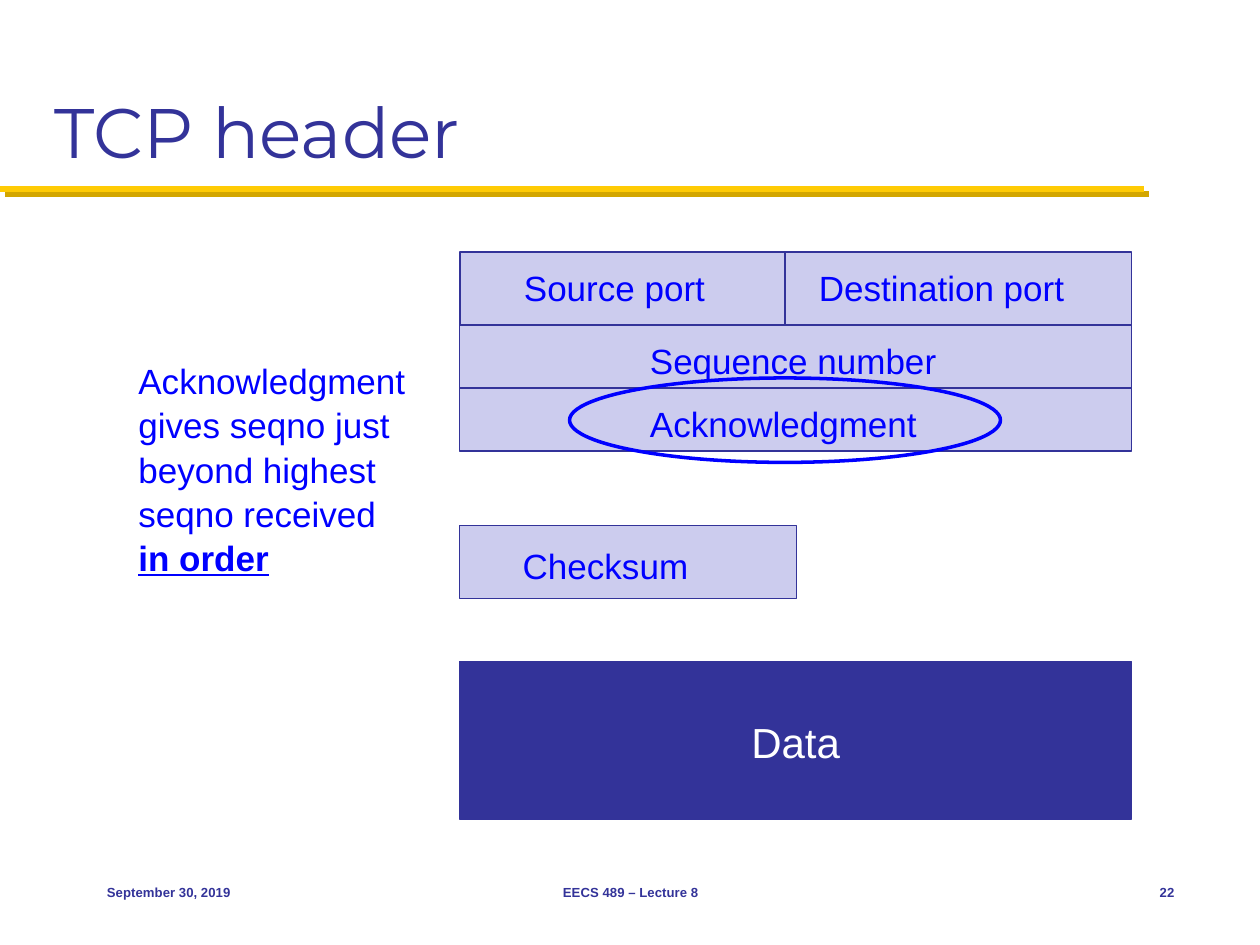
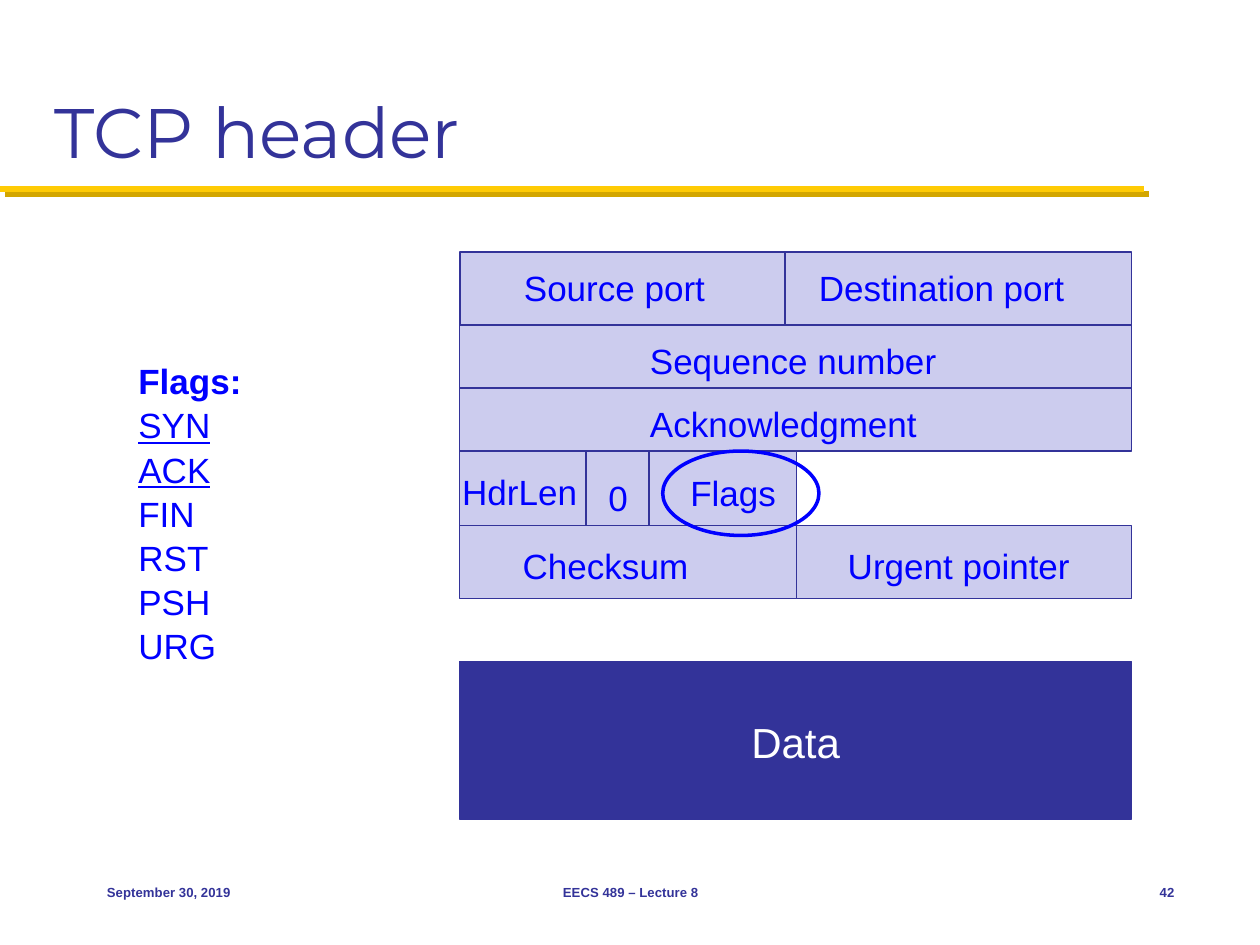
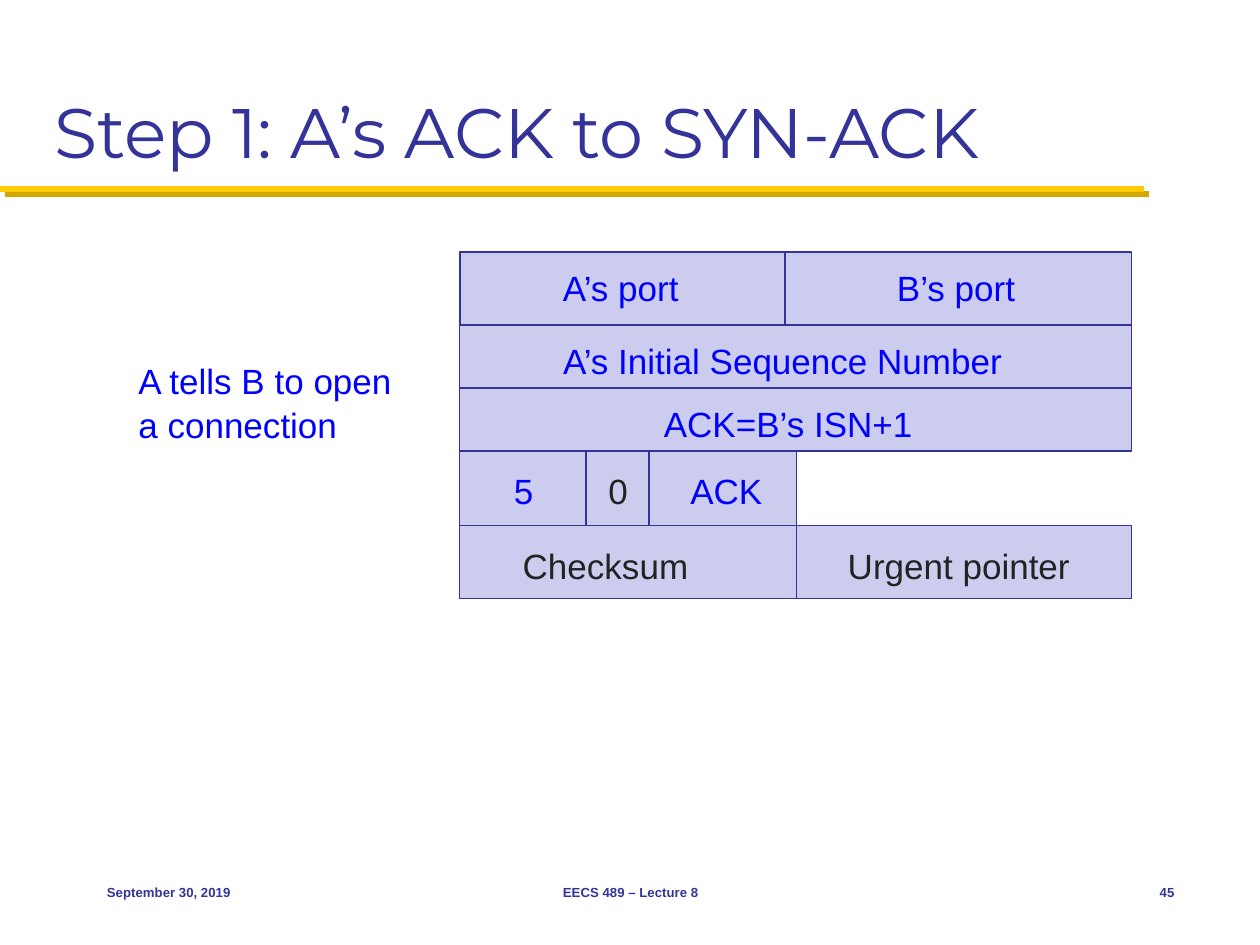
"""Builds three slides on the TCP header and its fields."""
from lxml import etree
from pptx import Presentation
from pptx.dml.color import RGBColor
from pptx.enum.shapes import MSO_CONNECTOR as Link, MSO_SHAPE as Kind
from pptx.enum.text import MSO_ANCHOR as Anchor, MSO_AUTO_SIZE as Fit, PP_ALIGN as Align
from pptx.oxml.ns import qn
from pptx.util import Inches, Pt

NAVY, PALE, BLUE, DARK = "333399", "CCCCEE", "0000FF", "232323"
GOLD, SHADE, WHITE = "FFCB05", "D3A600", "FFFFFF"
LEFT, RIGHT = 3.65, 8.98
ROWS = {"ports": (2, 0.58), "seq": (2.58, 0.5), "ack": (3.08, 0.5),
        "flags": (3.58, 0.59), "sum": (4.17, 0.58), "data": (5.25, 1.25)}
CELLS = {"ports": (LEFT, 6.23, RIGHT), "seq": (LEFT, RIGHT), "ack": (LEFT, RIGHT),
         "flags": (LEFT, 6.32), "sum": (LEFT, 6.32, RIGHT)}
SPLITS = (4.65, 5.15)
FOOT = ((0.75, 2.08, Align.LEFT, "September 30, 2019"),
        (3.42, 3.17, Align.CENTER, "EECS 489 – Lecture 8"),
        (8.75, 0.67, Align.RIGHT, None))

# Labels are (text, left, top, width, colour).
PORTS = [("Source port", 4.06, 2.05, 1.64, BLUE),
         ("Destination port", 6.4, 2.05, 2.15, BLUE),
         ("Sequence number", 5.06, 2.63, 2.47, BLUE),
         ("Acknowledgment", 5.06, 3.13, 2.34, BLUE)]


def tail(color):
    """Return the labels of the checksum row in one colour."""
    return [("Checksum", 4.05, 4.26, 1.51, color),
            ("Urgent pointer", 6.63, 4.26, 1.96, color)]


SLIDES = [
    {"title": "TCP header", "page": "22", "data": "Data",
     "rows": {"ports": 2, "seq": 1, "ack": 1, "sum": 1},
     "labels": PORTS + tail(BLUE)[:1],
     "ring": (4.52, 3, 3.42, 0.67),
     "note": [[("Acknowledgment gives seqno just beyond highest seqno received ", ""),
               ("in order", "bu")]], "tall": 1.78},
    {"title": "TCP header", "page": "42", "data": "Data",
     "rows": {"ports": 2, "seq": 1, "ack": 1, "flags": 1, "sum": 2},
     "labels": PORTS + [("Flags", 5.38, 3.68, 0.89, BLUE),
                        ("0", 4.73, 3.72, 0.36, BLUE)] + tail(BLUE),
     "length": ("HdrLen", 3.67, Align.LEFT),
     "ring": (5.26, 3.58, 1.24, 0.67),
     "note": [[("Flags:", "b")], [("SYN", "u")], [("ACK", "u")], [("FIN", "")],
              [("RST", "")], [("PSH", "")], [("URG", "")]], "tall": 2.79},
    {"title": "Step 1: A’s ACK to SYN-ACK", "page": "45",
     "rows": {"ports": 2, "seq": 1, "ack": 1, "flags": 1, "sum": 2},
     "labels": [("A’s port", 4.37, 2.05, 1.13, BLUE),
                ("B’s port", 7.02, 2.05, 1.15, BLUE),
                ("A’s Initial Sequence Number", 4.37, 2.63, 3.72, BLUE),
                ("ACK=B’s ISN+1", 5.17, 3.13, 2.17, BLUE),
                ("ACK", 5.38, 3.66, 0.78, BLUE),
                ("0", 4.73, 3.66, 0.36, DARK)] + tail(DARK),
     "length": ("5", 3.66, Align.CENTER),
     "note": [[("A tells B to open a connection", "")]], "tall": 0.77},
]


def rgb(color):
    """Turn a hex string into a colour."""
    return RGBColor.from_string(color)


def paint(item, color):
    """Fill a shape with one colour."""
    item.fill.solid()
    item.fill.fore_color.rgb = rgb(color)


def write(item, paras, color=BLUE, size=20, font="Arial", align=Align.LEFT,
          anchor=Anchor.TOP, wrap=True, pitch=1.05):
    """Write paragraphs of (text, marks) runs into a shape."""
    frame = item.text_frame
    frame.word_wrap, frame.auto_size = wrap, Fit.NONE
    frame.vertical_anchor = anchor
    for i, runs in enumerate(paras):
        para = frame.add_paragraph() if i else frame.paragraphs[0]
        para.alignment, para.line_spacing = align, pitch
        for text, marks in runs:
            run = para.add_run()
            run.text = text
            run.font.name, run.font.size = font, Pt(size)
            run.font.color.rgb = rgb(color)
            run.font.bold, run.font.underline = "b" in marks, "u" in marks


def box(slide, place, paras, fill=None, **style):
    """Add a text box, filled if a colour is given."""
    item = slide.shapes.add_textbox(*map(Inches, place))
    if fill:
        paint(item, fill)
    write(item, paras, **style)


def shape(slide, kind, place, line, width, fill=None):
    """Add an outlined preset shape."""
    item = slide.shapes.add_shape(kind, *map(Inches, place))
    item.shadow.inherit = False
    if fill:
        paint(item, fill)
    else:
        item.fill.background()
    item.line.color.rgb, item.line.width = rgb(line), Pt(width)
    return item


def rule(slide, ends, color, width, shade=None):
    """Add a straight line, with a hard shadow if a colour is given."""
    item = slide.shapes.add_connector(Link.STRAIGHT, *map(Inches, ends))
    item.line.color.rgb, item.line.width = rgb(color), Pt(width)
    effect = etree.SubElement(item._element.spPr, qn("a:effectLst"))
    if shade:
        drop = etree.SubElement(effect, qn("a:outerShdw"), blurRad="0",
                                dist=str(Pt(4.2)), dir="2700000", algn="ctr",
                                rotWithShape="0")
        etree.SubElement(drop, qn("a:srgbClr"), val=shade)


def frame(deck, title, page):
    """Add a slide with its title, band and footer."""
    slide = deck.slides.add_slide(deck.slide_layouts[5])
    rule(slide, (0, 1.5, 9.08, 1.5), GOLD, 3.5, SHADE)
    head = slide.shapes.title
    head.left, head.top, head.width, head.height = map(Inches, (0.33, 0.17, 9.33, 1.25))
    write(head, [[(title, "")]], NAVY, 40, "Montserrat", anchor=Anchor.BOTTOM, pitch=1)
    for left, width, align, text in FOOT:
        box(slide, (left, 6.83, width, 0.5), [[(text or page, "b")]], color=NAVY,
            size=7.5, align=align, anchor=Anchor.MIDDLE, pitch=1)
    return slide


def header(slide, rows, labels, length=None):
    """Draw the header cells and their labels."""
    for name, count in rows.items():
        top, tall = ROWS[name]
        edges = CELLS[name]
        for left, right in list(zip(edges, edges[1:]))[:count]:
            shape(slide, Kind.RECTANGLE, (left, top, right - left, tall), NAVY, 0.75, PALE)
    for text, left, top, width, color in labels:
        box(slide, (left, top, width, 0.44), [[(text, "")]], PALE, color=color, wrap=False)
    if length:
        text, top, align = length
        box(slide, (3.57, top, 1.17, 0.43), [[(text, "")]], align=align)
        top, tall = ROWS["flags"]
        for x in SPLITS:
            rule(slide, (x, top, x, top + tall), NAVY, 0.75)


def main():
    """Build and save the deck."""
    deck = Presentation()
    deck.slide_width, deck.slide_height = Inches(10), Inches(7.5)
    for part in SLIDES:
        slide = frame(deck, part["title"], part["page"])
        header(slide, part["rows"], part["labels"], part.get("length"))
        if "data" in part:
            top, tall = ROWS["data"]
            block = shape(slide, Kind.RECTANGLE, (LEFT, top, RIGHT - LEFT, tall),
                          NAVY, 0.75, NAVY)
            write(block, [[(part["data"], "")]], WHITE, 24, align=Align.CENTER,
                  anchor=Anchor.MIDDLE)
        if "ring" in part:
            shape(slide, Kind.OVAL, part["ring"], BLUE, 2)
        box(slide, (1, 2.79, 2.33, part["tall"]), part["note"])
    deck.save("out.pptx")


if __name__ == "__main__":
    main()
